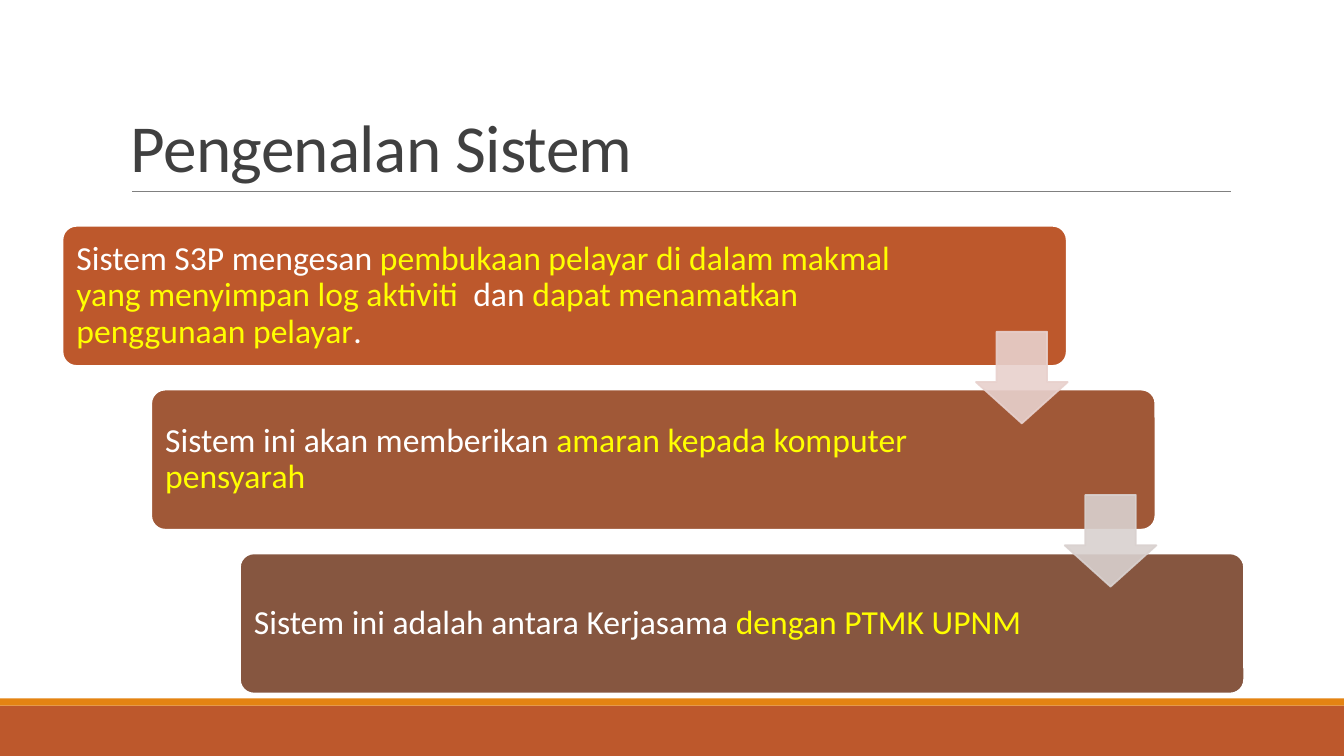
"""Build the "Pengenalan Sistem" slide: three stepped cards joined by arrows."""
from lxml import etree
from pptx import Presentation
from pptx.dml.color import RGBColor
from pptx.enum.shapes import MSO_CONNECTOR, MSO_SHAPE
from pptx.enum.text import MSO_ANCHOR, PP_ALIGN
from pptx.oxml.ns import qn
from pptx.util import Inches, Pt

WHITE, YELLOW = "FFFFFF", "FFFF00"


def color(value):
    return RGBColor.from_string(value)


def add_block(kind, left, top, width, height, fill, line=None):
    sp = s.shapes.add_shape(kind, Inches(left), Inches(top), Inches(width), Inches(height))
    sp.shadow.inherit = False
    sp.fill.solid()
    sp.fill.fore_color.rgb = color(fill)
    if line:
        sp.line.color.rgb = color(line)
        sp.line.width = Pt(1.25)
    else:
        sp.line.fill.background()
    return sp


prs = Presentation()
prs.slide_width, prs.slide_height = Inches(13.33), Inches(7.5)
s = prs.slides.add_slide(prs.slide_layouts[6])

add_block(MSO_SHAPE.RECTANGLE, 0, 7, 13.33, 0.5, "BD582C")
add_block(MSO_SHAPE.RECTANGLE, 0, 6.93, 13.33, 0.07, "E48312")

rule = s.shapes.add_connector(
    MSO_CONNECTOR.STRAIGHT, Inches(1.31), Inches(1.9), Inches(12.21), Inches(1.9))
rule.line.color.rgb = color("808080")
rule.line.width = Pt(0.5)
etree.SubElement(rule._element.spPr, qn("a:effectLst"))

title = s.shapes.add_textbox(Inches(1.2), Inches(0.31), Inches(11), Inches(1.59))
tf = title.text_frame
tf.word_wrap = True
tf.vertical_anchor = MSO_ANCHOR.BOTTOM
p = tf.paragraphs[0]
p.text = "Pengenalan Sistem"
p.line_spacing = 0.85
r = p.runs[0]
r.font.name, r.font.size = "Calibri", Pt(48)
r.font.color.rgb = color("404040")
r.font._element.set("spc", "-50")

cards = [
    ("BD582C", 1.52, [
        ("Sistem S3P mengesan ", WHITE),
        ("pembukaan pelayar di dalam makmal yang menyimpan log aktiviti  ", YELLOW),
        ("dan ", WHITE),
        ("dapat menamatkan penggunaan pelayar", YELLOW),
        (".", WHITE)]),
    ("A05837", 1.88, [
        ("Sistem ini akan memberikan ", WHITE),
        ("amaran kepada komputer pensyarah", YELLOW)]),
    ("865640", 1.88, [
        ("Sistem ini adalah antara Kerjasama ", WHITE),
        ("dengan PTMK UPNM", YELLOW)]),
]
for i, (fill, right_margin, runs) in enumerate(cards):
    card = add_block(MSO_SHAPE.ROUNDED_RECTANGLE, 0.62 + 0.88 * i, 2.24 + 1.625 * i,
                     9.96, 1.39, fill, WHITE)
    card.adjustments[0] = 0.1
    tf = card.text_frame
    tf.word_wrap = True
    tf.vertical_anchor = MSO_ANCHOR.MIDDLE
    tf.margin_left = tf.margin_top = tf.margin_bottom = Inches(0.1)
    tf.margin_right = Inches(right_margin)
    p = tf.paragraphs[0]
    p.alignment = PP_ALIGN.LEFT
    p.line_spacing = 0.9
    for text, ink in runs:
        r = p.add_run()
        r.text = text
        r.font.name, r.font.size = "Calibri", Pt(24)
        r.font.color.rgb = color(ink)

for i, tint in enumerate(["E8D1CD", "D9D1CF"]):
    arrow = add_block(MSO_SHAPE.DOWN_ARROW, 9.68 + 0.88 * i, 3.29 + 1.62 * i,
                      0.91, 0.91, tint, tint)
    arrow.adjustments[0], arrow.adjustments[1] = 0.55, 0.45
    for clr in arrow._element.spPr.iter(qn("a:srgbClr")):
        etree.SubElement(clr, qn("a:alpha"), val="90000")

prs.save("out.pptx")
